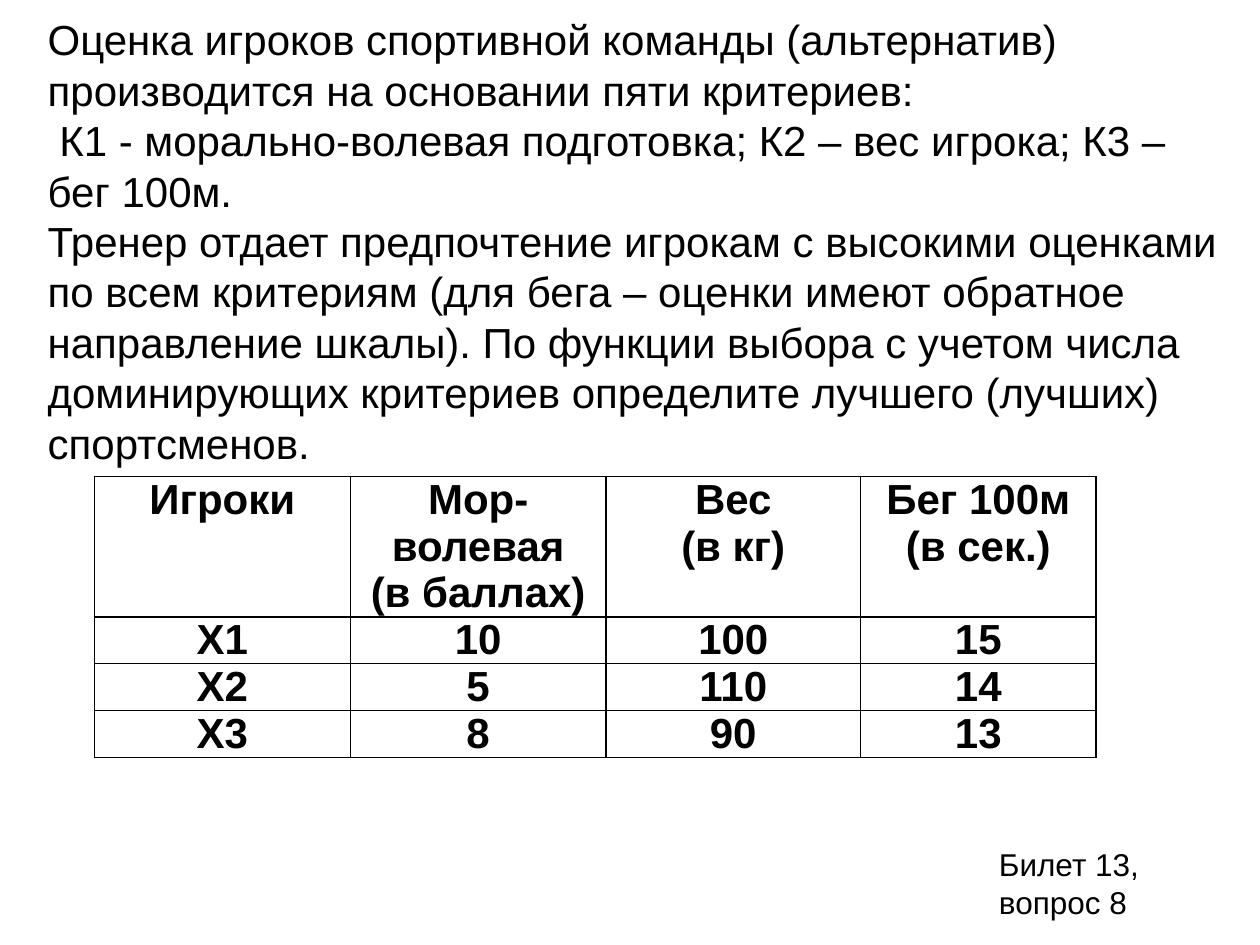
import pptx
import pptx.util
import pptx.dml.color
import pptx.enum.text
import pptx.oxml
import pptx.oxml.ns
from pptx.util import Inches

COLORS = {"ink": "000000", "paper": "FFFFFF"}
FONT = "Arial"
CRITERIA = [
    "Оценка игроков спортивной команды (альтернатив) производится на основании пяти критериев:",
    " К1 - морально-волевая подготовка; К2 – вес игрока; К3 – бег 100м.",
    "Тренер отдает предпочтение игрокам с высокими оценками по всем критериям "
    "(для бега – оценки имеют обратное направление шкалы). По функции выбора с учетом "
    "числа доминирующих критериев определите лучшего (лучших) спортсменов.",
]
PLAYERS = [
    ["Игроки", "Мор-волевая\n(в баллах)", "Вес\n(в кг)", "Бег 100м\n(в сек.)"],
    ["Х1", "10", "100", "15"],
    ["Х2", "5", "110", "14"],
    ["Х3", "8", "90", "13"],
]


class TaskSlide:
    """Holds the style and the current slide, and adds its elements."""

    def __init__(self, presentation):
        self.slide = presentation.slides.add_slide(presentation.slide_layouts[6])
        self.ink = pptx.dml.color.RGBColor.from_string(COLORS["ink"])
        fill = self.slide.background.fill
        fill.solid()
        fill.fore_color.rgb = pptx.dml.color.RGBColor.from_string(COLORS["paper"])

    def style(self, frame, size, bold=False, align=pptx.enum.text.PP_ALIGN.LEFT):
        for paragraph in frame.paragraphs:
            paragraph.alignment = align
            paragraph.font.name = FONT
            paragraph.font.size = pptx.util.Pt(size)
            paragraph.font.bold = bold
            paragraph.font.color.rgb = self.ink

    def text(self, box, paragraphs, size, anchor=pptx.enum.text.MSO_ANCHOR.TOP):
        frame = self.slide.shapes.add_textbox(*map(Inches, box)).text_frame
        frame.word_wrap = True
        frame.auto_size = pptx.enum.text.MSO_AUTO_SIZE.SHAPE_TO_FIT_TEXT
        frame.vertical_anchor = anchor
        frame.text = "\n".join(paragraphs)
        self.style(frame, size)

    def borders(self, cell):
        properties = cell._tc.get_or_add_tcPr()
        namespace = pptx.oxml.ns.nsdecls("a")
        for position, side in enumerate(("lnL", "lnR", "lnT", "lnB")):
            properties.insert(position, pptx.oxml.parse_xml(
                f'<a:{side} {namespace} w="12700"><a:solidFill>'
                f'<a:srgbClr val="{COLORS["ink"]}"/></a:solidFill></a:{side}>'))

    def table(self, left, top, widths, heights, rows, size):
        box = map(Inches, (left, top, sum(widths), sum(heights)))
        table = self.slide.shapes.add_table(len(rows), len(widths), *box).table
        table.first_row = table.horz_banding = False
        for column, width in zip(table.columns, widths):
            column.width = Inches(width)
        for row, height, values in zip(table.rows, heights, rows):
            row.height = Inches(height)
            for cell, value in zip(row.cells, values):
                cell.text = value
                cell.margin_left = cell.margin_right = Inches(0.07)
                cell.margin_top = cell.margin_bottom = 0
                cell.fill.background()
                self.borders(cell)
                self.style(cell.text_frame, size, True, pptx.enum.text.PP_ALIGN.CENTER)


def main():
    presentation = pptx.Presentation()
    presentation.slide_width = Inches(10)
    presentation.slide_height = Inches(7.5)
    task = TaskSlide(presentation)
    task.table(0.75, 3.78, [2.03, 2.03, 2.02, 1.87], [0.77] + [0.35] * 3, PLAYERS, 24)
    task.text((0.28, 0.04, 9.61, 3.74), CRITERIA, 24, pptx.enum.text.MSO_ANCHOR.MIDDLE)
    task.text((7.83, 6.66, 1.5, 0.71), ["Билет 13, вопрос 8"], 18)
    presentation.save("out.pptx")


if __name__ == "__main__":
    main()
